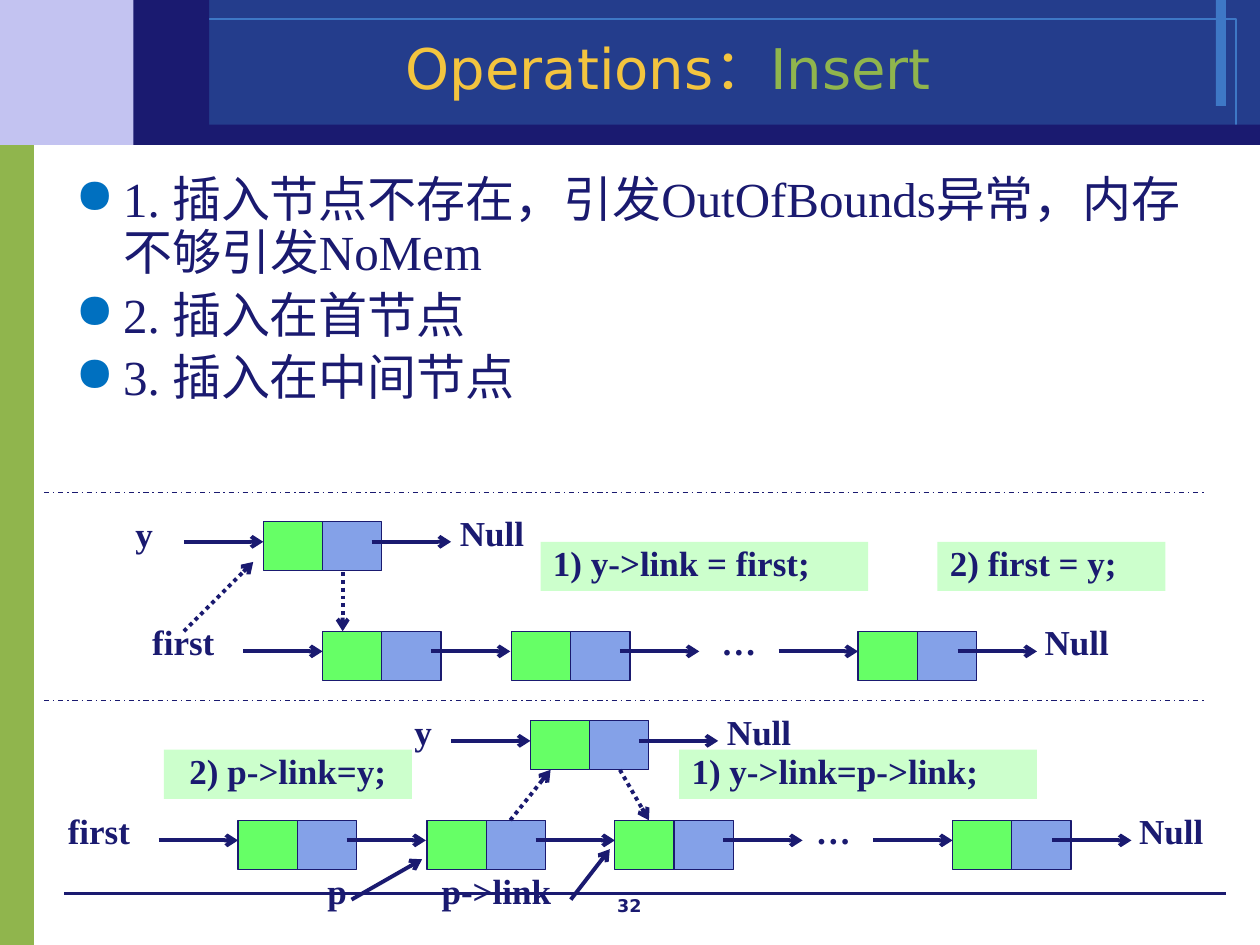
from lxml import etree
from pptx import Presentation
from pptx import util as u
from pptx.dml.color import RGBColor
from pptx.enum import dml, shapes, text
from pptx.oxml.ns import qn

NAVY, GREEN, BLUE, MINT = "1A1A70", "66FF66", "84A1E8", "CCFFCC"
SERIF, SANS = "Times New Roman", "DejaVu Sans"
LEFT, CENTER = text.PP_ALIGN.LEFT, text.PP_ALIGN.CENTER
W, H = 0.47, 0.39  # half of a list node

prs = Presentation()
prs.slide_width, prs.slide_height = u.Inches(10), u.Inches(7.5)
s = prs.slides.add_slide(prs.slide_layouts[6])


def rgb(value):
    return RGBColor.from_string(value)


def box(x, y, w, h, fill=None, line=None, width=0.75):
    sp = s.shapes.add_shape(shapes.MSO_SHAPE.RECTANGLE, *map(u.Inches, (x, y, w, h)))
    sp.shadow.inherit = False
    if fill:
        sp.fill.solid()
        sp.fill.fore_color.rgb = rgb(fill)
    else:
        sp.fill.background()
    if line:
        sp.line.color.rgb = rgb(line)
        sp.line.width = u.Pt(width)
    else:
        sp.line.fill.background()
    return sp


def line(x1, y1, x2, y2, width=2.25, dash=None, arrow=True):
    c = s.shapes.add_connector(shapes.MSO_CONNECTOR.STRAIGHT,
                               *map(u.Inches, (x1, y1, x2, y2)))
    c.line.color.rgb = rgb(NAVY)
    c.line.width = u.Pt(width)
    if dash:
        c.line.dash_style = dash
    if arrow:
        etree.SubElement(c.line._get_or_add_ln(), qn("a:tailEnd"), type="arrow")
    etree.SubElement(c._element.spPr, qn("a:effectLst"))


def write(runs, x, y, w, h=H, sp=None, size=20, font=SERIF, bold=True, align=CENTER,
          spacing=0.8, before=4, wrap=False, anchor=text.MSO_ANCHOR.MIDDLE, bullet=None):
    """Write paragraphs, each a list of (text, colour), in a shape or a new text box."""
    sp = sp or s.shapes.add_textbox(*map(u.Inches, (x, y, w, h)))
    tf = sp.text_frame
    tf.word_wrap, tf.vertical_anchor = wrap, anchor
    paragraphs = [[(runs, NAVY)]] if isinstance(runs, str) else runs
    for i, parts in enumerate(paragraphs):
        p = tf.add_paragraph() if i else tf.paragraphs[0]
        p.alignment, p.line_spacing, p.space_before = align, spacing, u.Pt(before)
        if bullet:
            pPr = p._p.get_or_add_pPr()
            pPr.set("marL", str(u.Inches(0.38)))
            pPr.set("indent", str(u.Inches(-0.38)))
            clr = etree.SubElement(pPr, qn("a:buClr"))
            etree.SubElement(clr, qn("a:srgbClr"), val=bullet)
            etree.SubElement(pPr, qn("a:buChar"), char="●")
        for words, color in parts:
            r = p.add_run()
            r.text = words
            r.font.size, r.font.name, r.font.bold = u.Pt(size), font, bold
            r.font.color.rgb = rgb(color)


# Background bands
box(0, 1.07, 0.27, 6.43, "90B54D")
box(0, 0, 1.53, 1.15, "C3C3F1")
box(1.53, 0, 8.47, 1.15, "243D8C")
box(9.65, 0, 0.08, 0.84, "3E78C6")
box(1.19, 0.15, 8.62, 0.85, line="3E78C6", width=0)
line(0.51, 7.09, 9.73, 7.09, width=0, arrow=False)
box(1.3, 0.99, 8.7, 0.16, NAVY)
box(1.06, 0, 0.6, 1.15, NAVY)

# Page number, title and bullets
write("32", 3.83, 7.05, 2.33, 0.25, size=10, font=SANS, spacing=1, before=0, wrap=True,
      anchor=text.MSO_ANCHOR.TOP)
write([[("Operations：", "F3C43F"), ("Insert", "90B54D")]], 1.19, 0.26, 8.23, 0.62,
      size=32, font=SANS, bold=False, spacing=0.9, before=0, wrap=True)
points = ["1. 插入节点不存在，引发OutOfBounds异常，内存不够引发NoMem",
          "2. 插入在首节点", "3. 插入在中间节点"]
write([[(point, NAVY)] for point in points], 0.5, 1.34, 9, 5.74, size=28, bold=False,
      align=LEFT, spacing=0.9, before=5.6, wrap=True, anchor=text.MSO_ANCHOR.TOP,
      bullet="0070C0")

# Highlighted statements
for words, x, y, w, align in [("1) y->link = first;", 4.29, 4.3, 2.6, LEFT),
                              ("2) first = y;", 7.44, 4.3, 1.81, LEFT),
                              ("1) y->link=p->link;", 5.39, 5.95, 2.84, LEFT),
                              ("2) p->link=y;", 1.3, 5.95, 1.97, CENTER)]:
    write(words, x, y, w, sp=box(x, y, w, H, MINT), align=align)

# Linked lists: top, node positions, offset of the last outgoing arrow
for top, nodes, last_out in [(4.14, [2.09], 0.86), (5.01, [2.56, 4.06, 6.81], 0.79),
                             (5.72, [4.21], 0.86), (6.51, [1.89, 3.39, 4.88, 7.56], 0.79)]:
    mid, first, last = top + 0.16, nodes[0], nodes[-1]
    for x in nodes:
        box(x + W, top, W, H, BLUE, NAVY)
        box(x, top, W, H, GREEN, NAVY)
    for x in nodes:
        out = x + (last_out if x == last else 0.86)
        line(out, mid, out + 0.63, mid)
    line(first - 0.63, mid, first, mid)
    label_top = top - 0.08
    write("Null", last + (1.42 if len(nodes) == 1 else 1.34), label_top, 0.79)
    if len(nodes) > 1:
        write("first", first - 1.5, label_top, 0.79)
        write("…", last - 1.34, label_top, 0.79)
        line(last - 0.63, mid, last, mid)

# Pointer names
for words, x, y, w in [("y", 0.91, 4.07, 0.47), ("y", 3.19, 5.64, 0.32),
                       ("p", 2.48, 6.9, 0.39), ("p->link", 3.35, 6.9, 1.18)]:
    write(words, x, y, w)
line(2.79, 7.14, 3.35, 6.82)
line(4.53, 7.14, 4.84, 6.74)

# Dotted arrows for the changed links
for ends in [(2.72, 4.54, 2.72, 5.01), (1.46, 5.01, 2.01, 4.46),
             (4.92, 6.11, 5.15, 6.51), (4.05, 6.51, 4.37, 6.11)]:
    line(*ends, dash=dml.MSO_LINE.ROUND_DOT)

# Section dividers
for y in (3.91, 5.56):
    line(0.35, y, 9.57, y, width=0.75, dash=dml.MSO_LINE.DASH_DOT, arrow=False)

prs.save("out.pptx")
